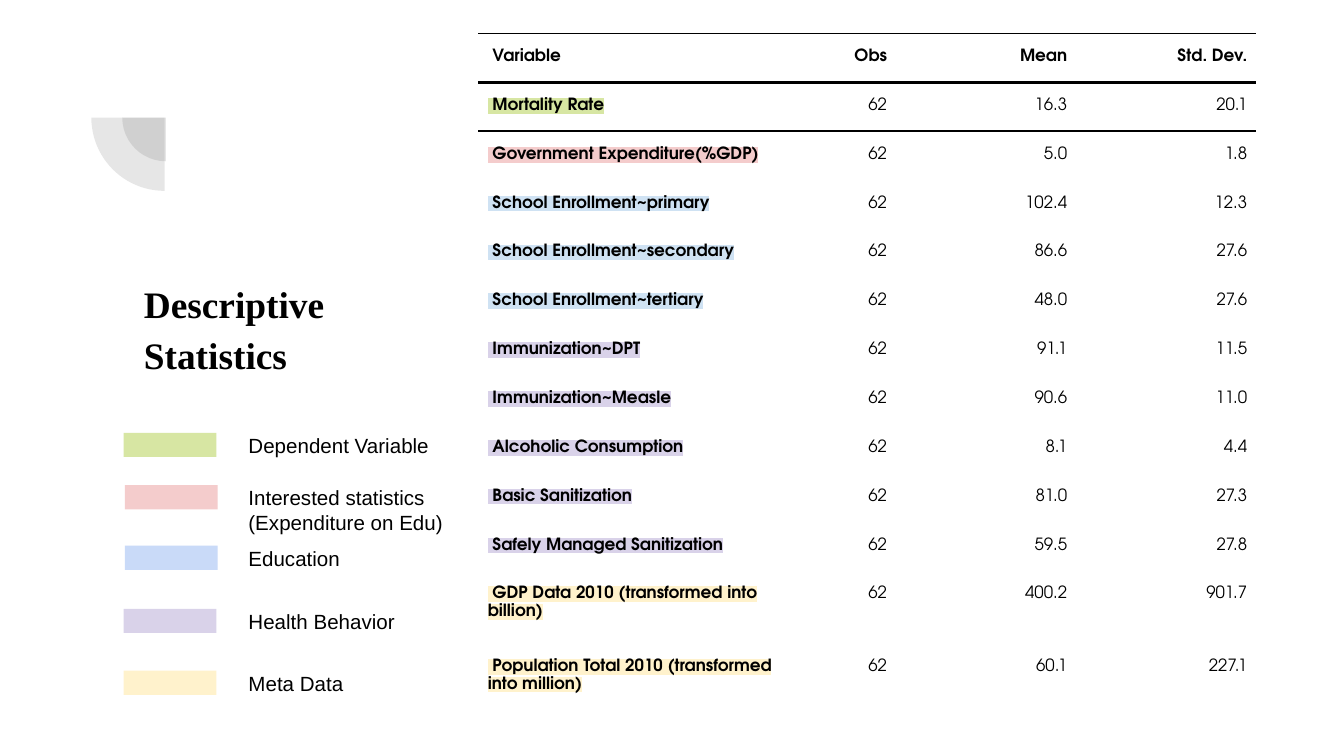
import pptx
import pptx.util
import pptx.dml.color
import pptx.enum.shapes
import pptx.enum.text
import pptx.oxml
import pptx.oxml.ns
import lxml.etree

Inches = pptx.util.Inches
Pt = pptx.util.Pt
RGBColor = pptx.dml.color.RGBColor
Shape = pptx.enum.shapes.MSO_SHAPE
Align = pptx.enum.text.PP_ALIGN
Anchor = pptx.enum.text.MSO_ANCHOR
AutoSize = pptx.enum.text.MSO_AUTO_SIZE
qn = pptx.oxml.ns.qn

BLACK = RGBColor(0x00, 0x00, 0x00)
GRAY = RGBColor(0x42, 0x42, 0x42)
GREEN = RGBColor(0xD7, 0xE6, 0xA3)
PINK = RGBColor(0xF4, 0xCC, 0xCC)
SKY = RGBColor(0xCF, 0xE2, 0xF3)
BLUE = RGBColor(0xC9, 0xDA, 0xF8)
PURPLE = RGBColor(0xD9, 0xD2, 0xE9)
YELLOW = RGBColor(0xFF, 0xF2, 0xCC)

TITLE_FONT = {"name": "Times New Roman", "size": Pt(20), "bold": True}
LEGEND_FONT = {"name": "Arial", "size": Pt(11), "bold": False}
TABLE_FONT = {"name": "TeX Gyre Adventor", "size": Pt(9)}

COLUMN_WIDTHS = [2.29, 0.82, 1.34, 1.34]
HEADINGS = ["Variable", "Obs", "Mean", "Std. Dev."]
STATISTICS = [
    ("Mortality Rate", "16.3", "20.1", GREEN),
    ("Government Expenditure(%GDP)", "5.0", "1.8", PINK),
    ("School Enrollment~primary", "102.4", "12.3", SKY),
    ("School Enrollment~secondary", "86.6", "27.6", SKY),
    ("School Enrollment~tertiary", "48.0", "27.6", SKY),
    ("Immunization~DPT", "91.1", "11.5", PURPLE),
    ("Immunization~Measle", "90.6", "11.0", PURPLE),
    ("Alcoholic Consumption", "8.1", "4.4", PURPLE),
    ("Basic Sanitization", "81.0", "27.3", PURPLE),
    ("Safely Managed Sanitization", "59.5", "27.8", PURPLE),
    ("GDP Data 2010 (transformed into billion)", "400.2", "901.7", YELLOW),
    ("Population Total 2010 (transformed into million)", "60.1", "227.1", YELLOW),
]
OBSERVATIONS = "62"
ROW_RULES = {0: {"lnT": 1, "lnB": 1.5}, 1: {"lnT": 1.5, "lnB": 1.5}, 2: {"lnT": 1.5}}

LEGEND = [
    ("Dependent Variable", GREEN, 0.92, 3.12, 0.39),
    ("Interested statistics (Expenditure on Edu)", PINK, 0.93, 3.51, 0.57),
    ("Education", BLUE, 0.93, 3.96, 0.39),
    ("Health Behavior", PURPLE, 0.92, 4.43, 0.39),
    ("Meta Data", YELLOW, 0.92, 4.89, 0.39),
]


def set_attributes(target, values):
    for name, value in values.items():
        setattr(target, name, value)


def write_text(frame, text, font, **paragraph_format):
    para = frame.paragraphs[0]
    set_attributes(para, paragraph_format)
    span = para.add_run()
    span.text = text
    set_attributes(span.font, font)
    span.font.color.rgb = BLACK
    return span


def format_frame(frame, **changes):
    margins = dict.fromkeys(
        ["margin_left", "margin_top", "margin_right", "margin_bottom"], Inches(0.1)
    )
    options = {"word_wrap": True, "auto_size": AutoSize.NONE}
    set_attributes(frame, {**margins, **options, **changes})


def add_filled_shape(shapes, kind, left, top, width, height, color):
    shape = shapes.add_shape(
        kind, Inches(left), Inches(top), Inches(width), Inches(height)
    )
    shape.shadow.inherit = False
    shape.fill.solid()
    shape.fill.fore_color.rgb = color
    shape.line.fill.background()
    return shape


def add_quarter_circles(page, left, top, size):
    group = page.shapes.add_group_shape()
    for offset_x, offset_y, diameter in [(0.23, 0.22, 0.65), (0, 0, size)]:
        quarter = add_filled_shape(
            group.shapes, Shape.PIE, left + offset_x, top + offset_y,
            diameter, diameter, GRAY,
        )
        quarter.rotation = 270
        quarter.adjustments[0] = 108
        quarter.adjustments[1] = 162
        color = quarter.fill._xPr.find(qn("a:solidFill"))[0]
        lxml.etree.SubElement(color, qn("a:alpha"), val="13000")


def place_title(page, left, top, width, height):
    title = page.shapes.title
    box = {"left": left, "top": top, "width": width, "height": height}
    set_attributes(title, {name: Inches(value) for name, value in box.items()})
    format_frame(
        title.text_frame, vertical_anchor=Anchor.MIDDLE, margin_bottom=Inches(0.33)
    )
    write_text(
        title.text_frame, "Descriptive Statistics", TITLE_FONT,
        alignment=Align.LEFT, line_spacing=1.15,
    )


def highlight(span, color):
    fill = span.font._element.find(qn("a:solidFill"))
    mark = lxml.etree.Element(qn("a:highlight"))
    lxml.etree.SubElement(mark, qn("a:srgbClr"), val=str(color))
    fill.addnext(mark)


def set_borders(cell, rules):
    properties = cell._tc.get_or_add_tcPr()
    for position, side in enumerate(["lnL", "lnR", "lnT", "lnB"]):
        line = lxml.etree.Element(qn("a:" + side))
        if side in rules:
            line.set("w", str(Pt(rules[side])))
            fill = lxml.etree.SubElement(line, qn("a:solidFill"))
            lxml.etree.SubElement(fill, qn("a:srgbClr"), val=str(BLACK))
        else:
            lxml.etree.SubElement(line, qn("a:noFill"))
        properties.insert(position, line)


def add_statistics_table(page, left, top):
    heights = [Inches(4) // 11] * 11 + [Inches(0.54)] * 2
    table = page.shapes.add_table(
        len(heights), len(COLUMN_WIDTHS), Inches(left), Inches(top),
        Inches(sum(COLUMN_WIDTHS)), sum(heights),
    ).table
    set_attributes(table, {"first_row": False, "horz_banding": False})
    for column, width in zip(table.columns, COLUMN_WIDTHS):
        column.width = Inches(width)
    for row, height in zip(table.rows, heights):
        row.height = height

    records = [([" " + heading for heading in HEADINGS], None)]
    for name, mean, deviation, color in STATISTICS:
        records.append(([" " + name, OBSERVATIONS, mean, deviation], color))
    for row_index, (values, color) in enumerate(records):
        for column_index, value in enumerate(values):
            cell = table.cell(row_index, column_index)
            cell.fill.background()
            set_borders(cell, ROW_RULES.get(row_index, {}))
            set_attributes(cell, {
                "margin_left": Inches(0.07), "margin_right": Inches(0.07),
                "margin_top": Inches(0.1), "margin_bottom": Inches(0.1),
            })
            is_name = column_index == 0
            span = write_text(
                cell.text_frame, value,
                {**TABLE_FONT, "bold": is_name or row_index == 0},
                alignment=Align.LEFT if is_name else Align.RIGHT, line_spacing=1.15,
            )
            if is_name and color is not None:
                highlight(span, color)


def add_legend_entry(page, label, color, left, top, height):
    group = page.shapes.add_group_shape()
    add_filled_shape(
        group.shapes, Shape.RECTANGLE, left, top + 0.1, 0.69, 0.18, color
    )
    box = group.shapes.add_textbox(
        Inches(1.75), Inches(top), Inches(1.71), Inches(height)
    )
    format_frame(box.text_frame)
    write_text(box.text_frame, label, LEGEND_FONT)


def main():
    deck = pptx.Presentation()
    deck.slide_width = Inches(10)
    deck.slide_height = Inches(10) * 9 // 16
    page = deck.slides.add_slide(deck.slide_layouts[5])
    add_quarter_circles(page, 0.68, 0.33, 1.09)
    add_statistics_table(page, 3.56, 0.25)
    place_title(page, 0.97, 1.51, 2.48, 2.06)
    for entry in LEGEND:
        add_legend_entry(page, *entry)
    deck.save("out.pptx")


if __name__ == "__main__":
    main()
